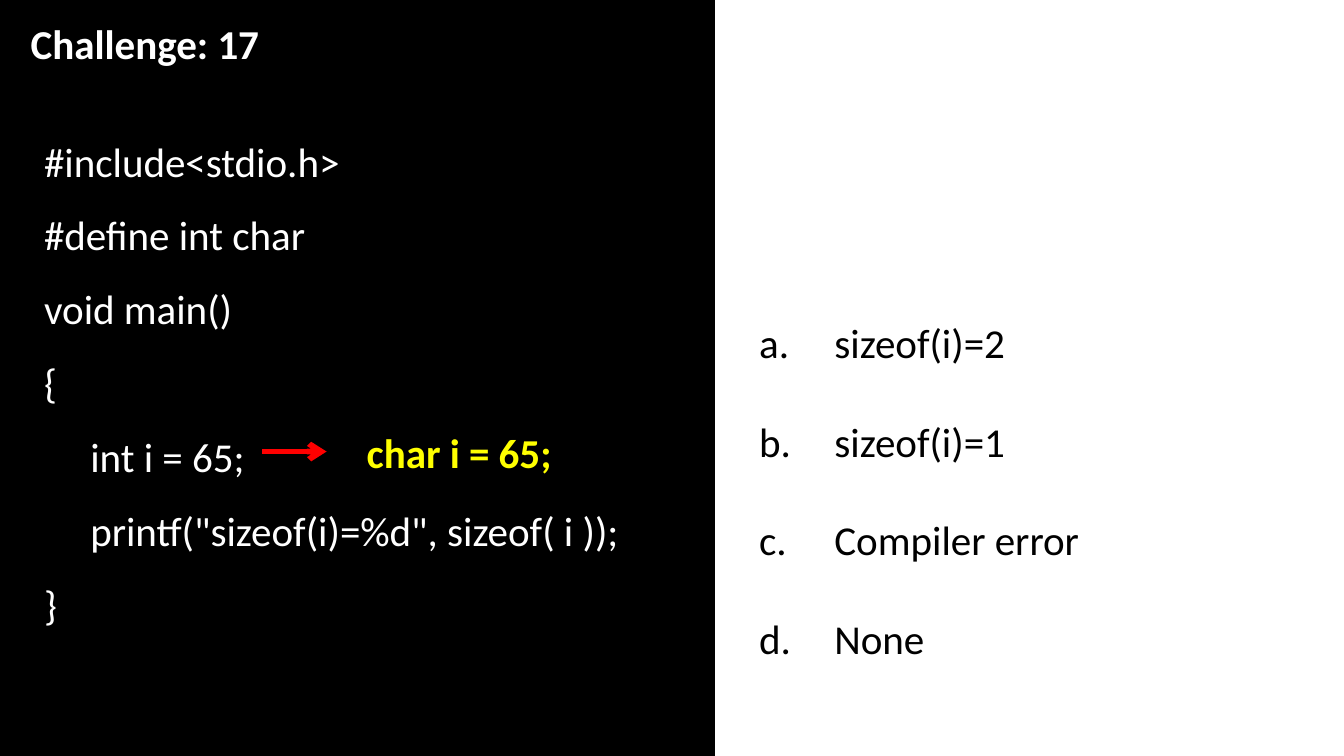
"""Build a C quiz slide with code on a dark panel and four answer options."""
import lxml.etree
import pptx
import pptx.dml.color
import pptx.enum.shapes
import pptx.oxml.ns
import pptx.util

Inches = pptx.util.Inches
Pt = pptx.util.Pt
qn = pptx.oxml.ns.qn
COLORS = {
    name: pptx.dml.color.RGBColor.from_string(value)
    for name, value in {
        "black": "000000", "white": "FFFFFF", "yellow": "FFFF00", "red": "FF0000",
    }.items()
}


def add_text(slide, box, lines, color, bold=False, spacing=None, lettered=False, wrap=True):
    """Add a text box with one paragraph per line."""
    text_box = slide.shapes.add_textbox(*map(Inches, box))
    frame = text_box.text_frame
    frame.word_wrap = wrap
    frame.text = "\n".join(lines)
    for paragraph in frame.paragraphs:
        if spacing:
            paragraph.line_spacing = spacing
        if lettered:
            properties = paragraph._p.get_or_add_pPr()
            properties.set("marL", str(Inches(0.56)))
            properties.set("indent", str(Inches(-0.56)))
            lxml.etree.SubElement(properties, qn("a:buFont"), typeface="+mj-lt")
            lxml.etree.SubElement(properties, qn("a:buAutoNum"), type="alphaLcPeriod")
        paragraph.font.name = "Calibri"
        paragraph.font.size = Pt(22)
        paragraph.font.bold = bold
        paragraph.font.color.rgb = COLORS[color]


presentation = pptx.Presentation()
presentation.slide_width = Inches(10)
presentation.slide_height = presentation.slide_width * 9 // 16
slide = presentation.slides.add_slide(presentation.slide_layouts[6])

panel = slide.shapes.add_shape(
    pptx.enum.shapes.MSO_SHAPE.RECTANGLE, 0, 0, Inches(5.31), presentation.slide_height
)
panel.shadow.inherit = False
panel.fill.solid()
panel.fill.fore_color.rgb = COLORS["black"]
panel.line.color.rgb = COLORS["black"]
panel.line.width = Pt(2)

answers = ["sizeof(i)=2", "sizeof(i)=1", "Compiler error", "None"]
add_text(slide, (5.55, 1.95, 3.91, 3.06), answers, "black", spacing=2.0, lettered=True)

code = [
    "#include<stdio.h>",
    "#define int char",
    "void main()",
    "{",
    "     int i = 65;",
    '     printf("sizeof(i)=%d", sizeof( i ));',
    "}",
]
add_text(slide, (0.23, 0.78, 4.84, 3.99), code, "white", spacing=1.5)

arrow = slide.shapes.add_connector(
    pptx.enum.shapes.MSO_CONNECTOR.STRAIGHT,
    Inches(1.95), Inches(3.36), Inches(2.43), Inches(3.36),
)
arrow.line.color.rgb = COLORS["red"]
arrow.line.width = Pt(3)
lxml.etree.SubElement(arrow.line._get_or_add_ln(), qn("a:tailEnd"), type="arrow")
lxml.etree.SubElement(arrow._element.spPr, qn("a:effectLst"))

add_text(slide, (2.63, 3.13, 1.59, 0.47), ["char i = 65;"], "yellow", bold=True)
add_text(slide, (0.13, 0.09, 1.9, 0.47), ["Challenge: 17"], "white", bold=True, wrap=False)

presentation.save("out.pptx")
